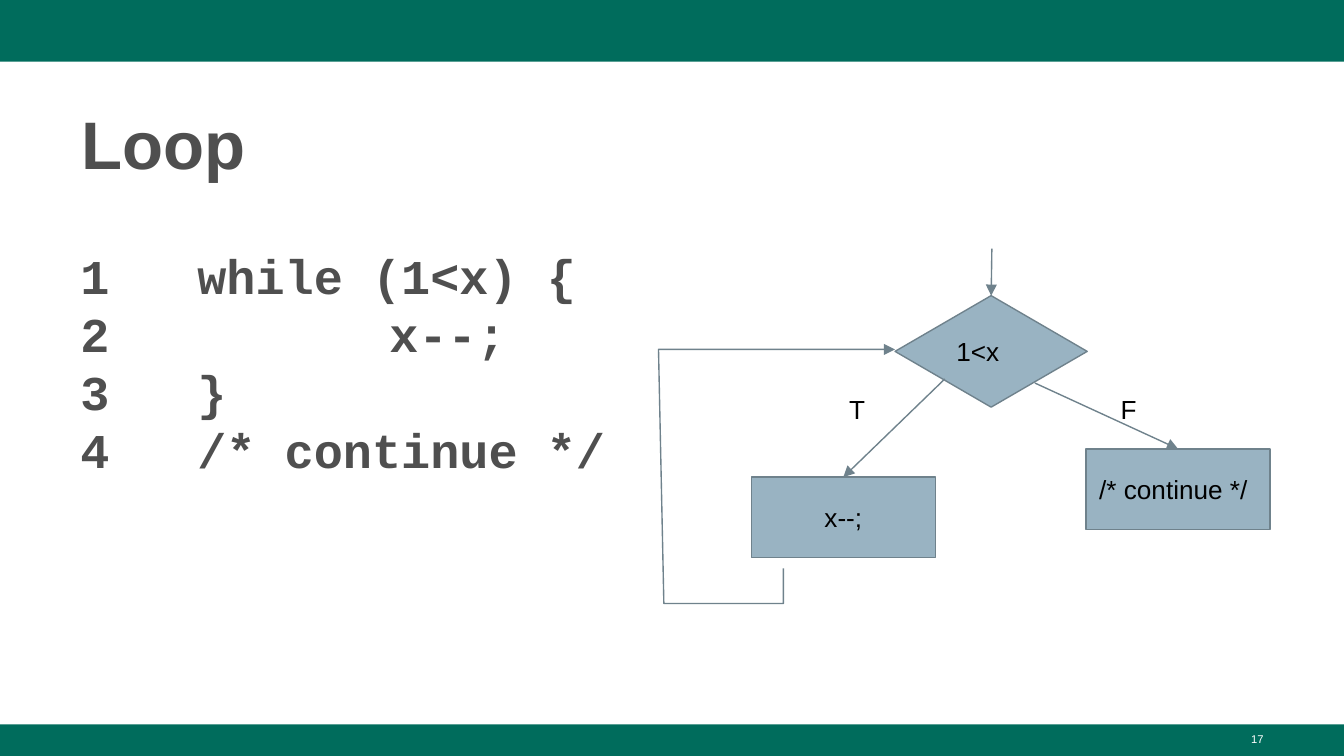
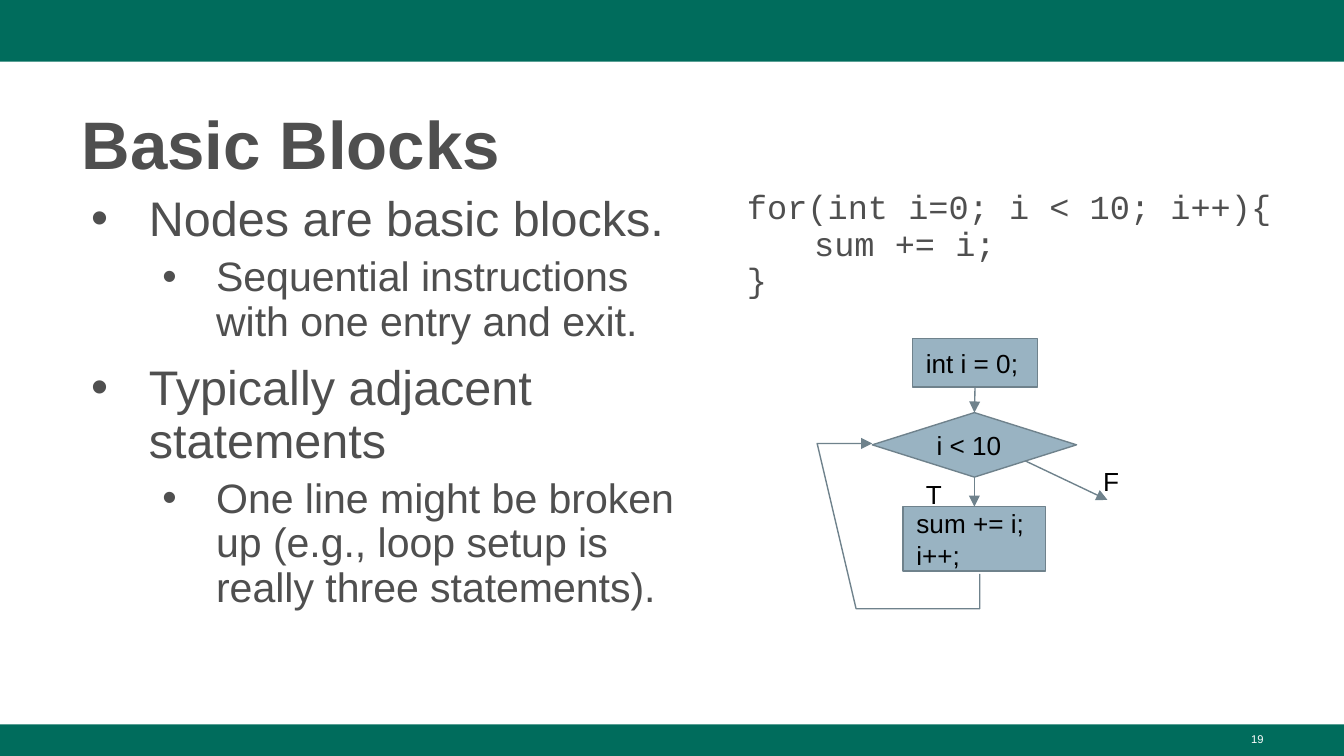
import lxml.etree
import pptx
import pptx.util
import pptx.dml.color
import pptx.enum.shapes
import pptx.enum.text
import pptx.oxml.ns

HUES = {"band": "006C5C", "text": "4F4F4F", "node": "99B3C2",
        "edge": "6F828C", "ink": "000000", "page": "FFFFFF"}
FORMS = {
    "title": {"size": 36, "name": "Arial", "bold": True, "hue": "text"},
    "code": {"size": 26, "name": "Courier New", "bold": True, "hue": "text"},
    "snip": {"size": 18, "name": "Courier New", "hue": "text"},
    "main": {"size": 26, "name": "Arial", "hue": "text"},
    "sub": {"size": 22, "name": "Arial", "hue": "text"},
    "node": {"size": 14, "name": "Arial", "hue": "ink"},
    "foot": {"size": 6, "name": "Arial", "hue": "page"},
}
BULLETS = {
    "main": {"level": 0, "left": 0.5, "hang": -0.43, "gap": 10},
    "sub": {"level": 1, "left": 1, "hang": -0.4, "gap": 5},
}
COLS, ROWS = 100, 56.25
SHAPES = pptx.enum.shapes.MSO_SHAPE
ALIGN = pptx.enum.text.PP_ALIGN
ANCHOR = pptx.enum.text.MSO_ANCHOR
TOP, BOTTOM = 0, 2


def apply(item, values):
    for key, value in values.items():
        setattr(item, key, value)


def color(name):
    return pptx.dml.color.RGBColor.from_string(HUES[name])


def add_tag(parent, tag, **values):
    child = lxml.etree.SubElement(parent, pptx.oxml.ns.qn(tag))
    for key, value in values.items():
        child.set(key, str(value))
    return child


class Deck:
    def __init__(self):
        self.show = pptx.Presentation()
        apply(self.show, {"slide_width": pptx.util.Inches(10),
                          "slide_height": pptx.util.Inches(5.625)})
        self.slide = None

    def col(self, count):
        return round(self.show.slide_width * count / COLS)

    def row(self, count):
        return round(self.show.slide_height * count / ROWS)

    def box(self, area):
        left, top, wide, high = area
        return self.col(left), self.row(top), self.col(wide), self.row(high)

    def page(self, title, number):
        self.slide = self.show.slides.add_slide(self.show.slide_layouts[6])
        self.band(0, 4.6)
        self.band(53.9, ROWS - 53.9)
        self.text((5.1, 6.7, 89.9, 7.3), [title], "title", pad=0.05,
                  anchor=ANCHOR.MIDDLE, space=1.08)
        self.text((71.7, 54, 23.3, 2.3), [number], "foot", pad=0.05,
                  align=ALIGN.RIGHT)

    def band(self, top, high):
        self.shape(SHAPES.RECTANGLE, (0, top, COLS, high), "band")

    def shape(self, kind, area, fill):
        shape = self.slide.shapes.add_shape(kind, *self.box(area))
        shape.shadow.inherit = False
        shape.fill.solid()
        shape.fill.fore_color.rgb = color(fill)
        shape.line.fill.background()
        return shape

    def node(self, area, lines, kind=SHAPES.RECTANGLE, align=ALIGN.LEFT):
        shape = self.shape(kind, area, "node")
        self.stroke(shape.line)
        self.lines(shape.text_frame, lines, "node", 0.1, ANCHOR.MIDDLE, align)
        return shape

    def stroke(self, line, arrow=False):
        line.color.rgb = color("edge")
        line.width = pptx.util.Pt(0.75)
        if arrow:
            add_tag(line._get_or_add_ln(), "a:tailEnd", type="triangle")

    def text(self, area, lines, form, pad=0.1, anchor=ANCHOR.TOP,
             align=ALIGN.LEFT, space=None):
        frame = self.slide.shapes.add_textbox(*self.box(area)).text_frame
        self.lines(frame, lines, form, pad, anchor, align, space)
        return frame

    def lines(self, frame, lines, form, pad, anchor, align, space=None):
        side, edge = pptx.util.Inches(0.1), pptx.util.Inches(pad)
        apply(frame, {"word_wrap": True, "vertical_anchor": anchor,
                      "margin_left": side, "margin_right": side,
                      "margin_top": edge, "margin_bottom": edge})
        for spot, line in enumerate(lines):
            para = frame.paragraphs[0] if spot == 0 else frame.add_paragraph()
            apply(para, {"alignment": align, "line_spacing": space})
            self.run(para, line, form)

    def run(self, para, words, form):
        run = para.add_run()
        run.text = words
        style = dict(FORMS[form])
        run.font.color.rgb = color(style.pop("hue"))
        style["size"] = pptx.util.Pt(style["size"])
        apply(run.font, style)

    def stops(self, frame, spots):
        for para in frame.paragraphs:
            tabs = add_tag(para._p.get_or_add_pPr(), "a:tabLst")
            for spot in spots:
                add_tag(tabs, "a:tab", pos=pptx.util.Inches(spot), algn="l")

    def bullets(self, area, items):
        frame = self.text(area, [], "main", pad=0.05)
        for spot, (form, words) in enumerate(items):
            para = frame.paragraphs[0] if spot == 0 else frame.add_paragraph()
            rule = BULLETS[form]
            props = para._p.get_or_add_pPr()
            props.set("marL", str(pptx.util.Inches(rule["left"])))
            props.set("indent", str(pptx.util.Inches(rule["hang"])))
            add_tag(add_tag(props, "a:buClr"), "a:srgbClr", val=HUES["text"])
            add_tag(props, "a:buFont", typeface="Arial")
            add_tag(props, "a:buChar", char="•")
            apply(para, {"level": rule["level"], "line_spacing": 0.9,
                         "space_before": pptx.util.Pt(rule["gap"] if spot else 0)})
            self.run(para, words, form)

    def arrow(self, start, end, source=None, target=None):
        line = self.slide.shapes.add_connector(
            pptx.enum.shapes.MSO_CONNECTOR.STRAIGHT,
            self.col(start[0]), self.row(start[1]),
            self.col(end[0]), self.row(end[1]))
        if source:
            line.begin_connect(source, BOTTOM)
        if target:
            line.end_connect(target, TOP)
        self.stroke(line.line, arrow=True)
        add_tag(line._element.spPr, "a:effectLst")

    def loop(self, points):
        spots = [(self.col(x), self.row(y)) for x, y in points]
        draft = self.slide.shapes.build_freeform(*spots[0])
        draft.add_line_segments(spots[1:], close=False)
        shape = draft.convert_to_shape()
        shape.shadow.inherit = False
        shape.fill.background()
        self.stroke(shape.line, arrow=True)


def draw_loop(deck):
    deck.page("Loop", "17")
    code = deck.text((5, 17.8, 55.6, 16.7),
                     ["1\twhile (1<x) {", "2\t\tx--;", "3\t}",
                      "4\t/* continue */"], "code", pad=0.05)
    deck.stops(code, [0.87, 2.3])
    step = deck.node((55.9, 35.5, 13.7, 6), ["x--;"], align=ALIGN.CENTER)
    rest = deck.node((80.8, 33.4, 13.7, 6), ["/* continue */"])
    test = deck.node((66.6, 22, 14.3, 8.3), ["1<x"], SHAPES.DIAMOND)
    deck.arrow((77, 28.5), (87.6, 33.4), target=rest)
    deck.arrow((70.3, 28.2), (62.7, 35.5), target=step)
    deck.arrow((73.8, 18.5), (73.7, 22), target=test)
    for left, word in ((62.2, "T"), (82.4, "F")):
        deck.text((left, 28.3, 4.4, 2.2), [word], "node")
    deck.loop([(58.3, 42.3), (58.3, 44.9), (49.4, 44.9), (49, 26), (66.6, 26)])


def draw_blocks(deck):
    deck.page("Basic Blocks", "19")
    deck.bullets((5.1, 14, 47.5, 38.1), [
        ("main", "Nodes are basic blocks."),
        ("sub", "Sequential instructions with one entry and exit."),
        ("main", "Typically adjacent statements"),
        ("sub", "One line might be broken up (e.g., loop setup is really "
                "three statements)."),
    ])
    deck.text((54.6, 12.6, 43.7, 11.3),
              ["for(int i=0; i < 10; i++){", "\tsum += i;", "}"], "snip",
              anchor=ANCHOR.MIDDLE, space=0.9)
    init = deck.node((67.9, 25.2, 9.3, 3.6), ["int i = 0;"])
    test = deck.node((64.9, 30.7, 15.2, 4.8), ["i < 10"], SHAPES.DIAMOND)
    step = deck.node((67.2, 37.7, 10.6, 4.8), ["sum += i;", "i++;"])
    deck.arrow((72.5, 28.8), (72.5, 30.7), init, test)
    deck.arrow((72.5, 35.5), (72.5, 37.7), test, step)
    deck.arrow((76.3, 34.3), (82.4, 37.2))
    deck.text((81.1, 33.7, 4.9, 1.9), ["F"], "node")
    deck.text((67.9, 34.6, 3, 2.2), ["T"], "node")
    deck.loop([(72.9, 42.7), (72.9, 45.3), (63.7, 45.3), (60.8, 33), (64.9, 33)])


def main():
    deck = Deck()
    draw_loop(deck)
    draw_blocks(deck)
    deck.show.save("out.pptx")


if __name__ == "__main__":
    main()
